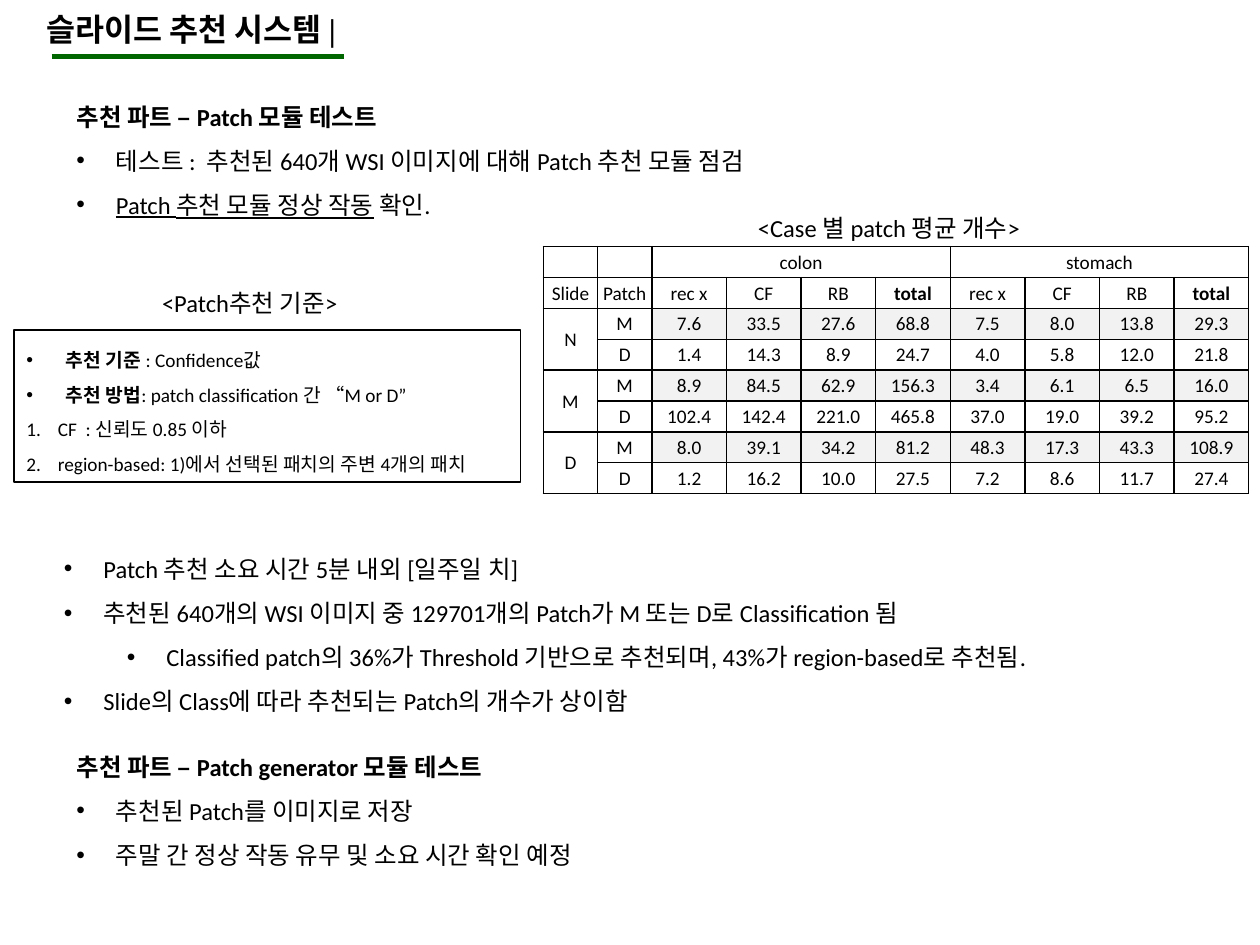
from lxml.etree import SubElement
from pptx import Presentation
from pptx.dml.color import RGBColor
from pptx.enum.shapes import MSO_CONNECTOR, MSO_SHAPE
from pptx.enum.text import MSO_ANCHOR, MSO_AUTO_SIZE, PP_ALIGN
from pptx.oxml.ns import qn
from pptx.util import Pt

BLACK = RGBColor(0x00, 0x00, 0x00)
WHITE = RGBColor(0xFF, 0xFF, 0xFF)
GREY = RGBColor(0xF2, 0xF2, 0xF2)
GREEN = RGBColor(0x00, 0x66, 0x00)

INDENTS = {"plain": (0, 0), "heading": (0, 0), "bullet": (22.5, -22.5),
           "sub": (58.5, -22.5), "number": (18, -18)}

PATCH_TEST = [
    ("heading", [("추천 파트 – Patch 모듈 테스트", "")]),
    ("bullet", [("테스트 :  추천된 640개 WSI 이미지에 대해 Patch 추천 모듈 점검", "")]),
    ("bullet", [("Patch 추천 모듈 정상 작동", "underline"), (" 확인.", "")]),
]
GENERATOR_TEST = [
    ("heading", [("추천 파트 – Patch generator 모듈 테스트", "")]),
    ("bullet", [("추천된 Patch를 이미지로 저장", "")]),
    ("bullet", [("주말 간 정상 작동 유무 및 소요 시간 확인 예정", "")]),
]
FINDINGS = [
    ("bullet", [("Patch 추천 소요 시간 5분 내외 [일주일 치]", "")]),
    ("bullet", [("추천된 640개의 WSI 이미지 중 129701개의 Patch가 M 또는 D로 Classification 됨", "")]),
    ("sub", [("Classified patch의 36%가 Threshold 기반으로 추천되며, 43%가 region-based로 추천됨.", "")]),
    ("bullet", [("Slide의 Class에 따라 추천되는 Patch의 개수가 상이함", "")]),
]
CRITERIA = [
    ("bullet", [("추천 기준 ", "bold"), (": Confidence값", "")]),
    ("bullet", [("추천 방법", "bold"), (": patch classification 간 “M or D”", "")]),
    ("number", [("CF  : 신뢰도 0.85 이하", "")]),
    ("number", [("region-based: 1)에서 선택된 패치의 주변 4개의 패치", "")]),
]
MEASURES = ["rec x", "CF", "RB", "total"]
COUNTS = [
    ["", "", "colon", "", "", "", "stomach", "", "", ""],
    ["Slide", "Patch", *MEASURES, *MEASURES],
    ["N", "M", "7.6", "33.5", "27.6", "68.8", "7.5", "8.0", "13.8", "29.3"],
    ["", "D", "1.4", "14.3", "8.9", "24.7", "4.0", "5.8", "12.0", "21.8"],
    ["M", "M", "8.9", "84.5", "62.9", "156.3", "3.4", "6.1", "6.5", "16.0"],
    ["", "D", "102.4", "142.4", "221.0", "465.8", "37.0", "19.0", "39.2", "95.2"],
    ["D", "M", "8.0", "39.1", "34.2", "81.2", "48.3", "17.3", "43.3", "108.9"],
    ["", "D", "1.2", "16.2", "10.0", "27.5", "7.2", "8.6", "11.7", "27.4"],
]


def set_font(font, size, name="Calibri", bold=False):
    """Give a font its size, face, weight and black colour."""
    font.size, font.name, font.bold = Pt(size), name, bold
    font.color.rgb = BLACK


def place(shape, left, top, width, height):
    """Move and size a shape, in points."""
    shape.left, shape.top = Pt(left), Pt(top)
    shape.width, shape.height = Pt(width), Pt(height)


def set_bullet(para, kind):
    """Set the indent and the bullet or number of a paragraph."""
    margin, indent = INDENTS[kind]
    properties = para._p.get_or_add_pPr()
    properties.set("marL", str(Pt(margin)))
    properties.set("indent", str(Pt(indent)))
    if kind == "number":
        SubElement(properties, qn("a:buFont"), typeface="+mj-lt")
        SubElement(properties, qn("a:buAutoNum"), type="arabicPeriod")
    elif kind in ("bullet", "sub"):
        SubElement(properties, qn("a:buFont"), typeface="Arial")
        SubElement(properties, qn("a:buChar"), char="•")
    else:
        SubElement(properties, qn("a:buNone"))


def write_lines(shape, lines, size=14, anchor=MSO_ANCHOR.TOP):
    """Fill a shape with left-aligned lines at 1.5 spacing."""
    frame = shape.text_frame
    frame.word_wrap = True
    frame.auto_size = MSO_AUTO_SIZE.NONE
    frame.vertical_anchor = anchor
    for index, (kind, spans) in enumerate(lines):
        para = frame.add_paragraph() if index else frame.paragraphs[0]
        set_bullet(para, kind)
        para.level = 1 if kind == "sub" else 0
        para.alignment = PP_ALIGN.LEFT
        para.line_spacing = 1.5
        para.space_before = Pt(0)
        set_font(para.font, size, bold=kind == "heading")
        for text, style in spans:
            span = para.add_run()
            span.text = text
            if style:
                setattr(span.font, style, True)


def add_text(shapes, lines, *box):
    """Add a text box holding the given lines."""
    text_box = shapes.add_textbox(0, 0, 0, 0)
    place(text_box, *box)
    write_lines(text_box, lines)


def add_title(page):
    """Fill the title and draw the green rule under it."""
    title = page.shapes.title
    place(title, 19.5, 2, 501, 29)
    frame = title.text_frame
    frame.text = "슬라이드 추천 시스템 |"
    frame.auto_size = MSO_AUTO_SIZE.NONE
    frame.vertical_anchor = MSO_ANCHOR.TOP
    para = frame.paragraphs[0]
    para.alignment = PP_ALIGN.LEFT
    set_font(para.font, 18, "Times New Roman", True)
    rule = page.shapes.add_connector(MSO_CONNECTOR.STRAIGHT, Pt(29.5), Pt(32.5), Pt(196.5), Pt(32.5))
    rule.line.color.rgb = GREEN
    rule.line.width = Pt(3)
    SubElement(rule._element.spPr, qn("a:effectLst"))


def add_criteria(page):
    """Add the framed criteria with their caption as one group."""
    group = page.shapes.add_group_shape()
    add_text(group.shapes, [("plain", [("<Patch추천 기준>", "")])], 85.5, 152.5, 217, 55)
    frame = group.shapes.add_shape(MSO_SHAPE.RECTANGLE, 0, 0, 0, 0)
    place(frame, 8, 188.5, 289.5, 87)
    frame.shadow.inherit = False
    frame.fill.background()
    frame.line.color.rgb = BLACK
    frame.line.width = Pt(0.75)
    write_lines(frame, CRITERIA, 11, MSO_ANCHOR.MIDDLE)


def format_cell(cell, text, bold, fill):
    """Write one table cell with its borders and fill."""
    cell.margin_left = cell.margin_right = cell.margin_top = Pt(0.5)
    cell.margin_bottom = 0
    cell.vertical_anchor = MSO_ANCHOR.MIDDLE
    para = cell.text_frame.paragraphs[0]
    para.alignment = PP_ALIGN.CENTER
    set_font(para.font, 11, bold=bold)
    if text:
        para.add_run().text = text
    else:
        SubElement(para._p, qn("a:endParaRPr"), sz="1100")
    properties = cell._tc.get_or_add_tcPr()
    for side in ("lnL", "lnR", "lnT", "lnB"):
        border = SubElement(properties, qn(f"a:{side}"), w=str(Pt(1)))
        colour = SubElement(SubElement(border, qn("a:solidFill")), qn("a:srgbClr"))
        colour.set("val", str(BLACK))
    cell.fill.solid()
    cell.fill.fore_color.rgb = fill


def add_counts(page):
    """Add the table of mean patch counts."""
    table = page.shapes.add_table(len(COUNTS), len(COUNTS[0]), Pt(310.5), Pt(141), Pt(403), Pt(141)).table
    for index, column in enumerate(table.columns):
        column.width = Pt(31) if index < 2 else Pt(42.65)
    for row_index, (row, texts) in enumerate(zip(table.rows, COUNTS)):
        row.height = Pt(17.64)
        for column_index, text in enumerate(texts):
            shaded = row_index in (2, 4, 6) and column_index > 1
            format_cell(table.cell(row_index, column_index), text,
                        text == "total", GREY if shaded else WHITE)
    for column_index in (2, 6):
        table.cell(0, column_index).merge(table.cell(0, column_index + 3))
    for row_index in (2, 4, 6):
        table.cell(row_index, 0).merge(table.cell(row_index + 1, 0))


def main():
    """Build and save the slide."""
    deck = Presentation()
    deck.slide_width, deck.slide_height = Pt(720), Pt(540)
    page = deck.slides.add_slide(deck.slide_layouts[3])
    add_title(page)
    for index, lines, top, height in ((1, PATCH_TEST, 46, 157), (2, GENERATOR_TEST, 417.5, 132)):
        body = page.placeholders[index]
        place(body, 36.5, top, 607, height)
        write_lines(body, lines)
    add_text(page.shapes, FINDINGS, 29.5, 304.5, 675.5, 106.5)
    add_criteria(page)
    add_text(page.shapes, [("plain", [("<Case 별 patch 평균 개수>", "")])], 426, 110, 217, 30)
    add_counts(page)
    deck.save("out.pptx")


if __name__ == "__main__":
    main()
